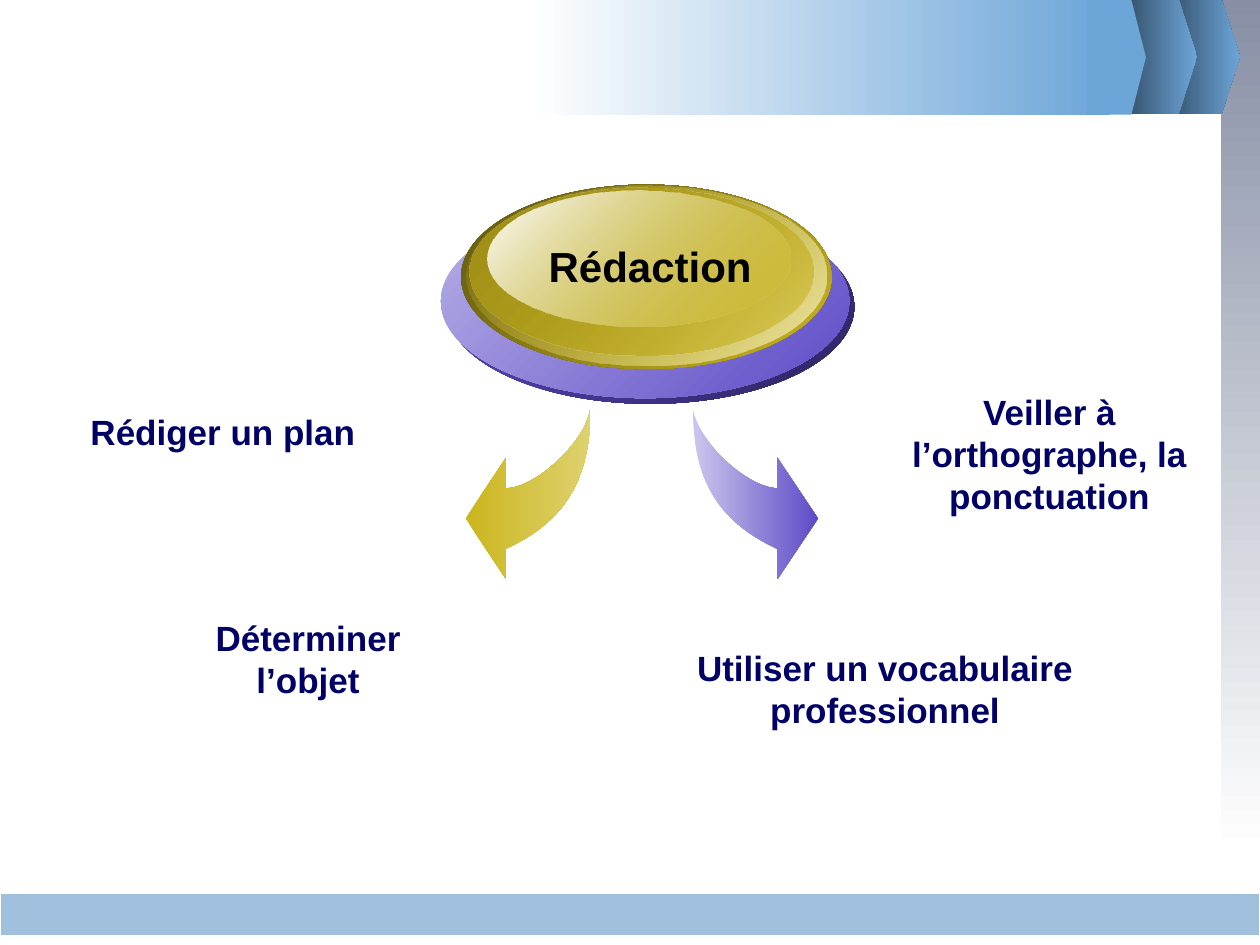
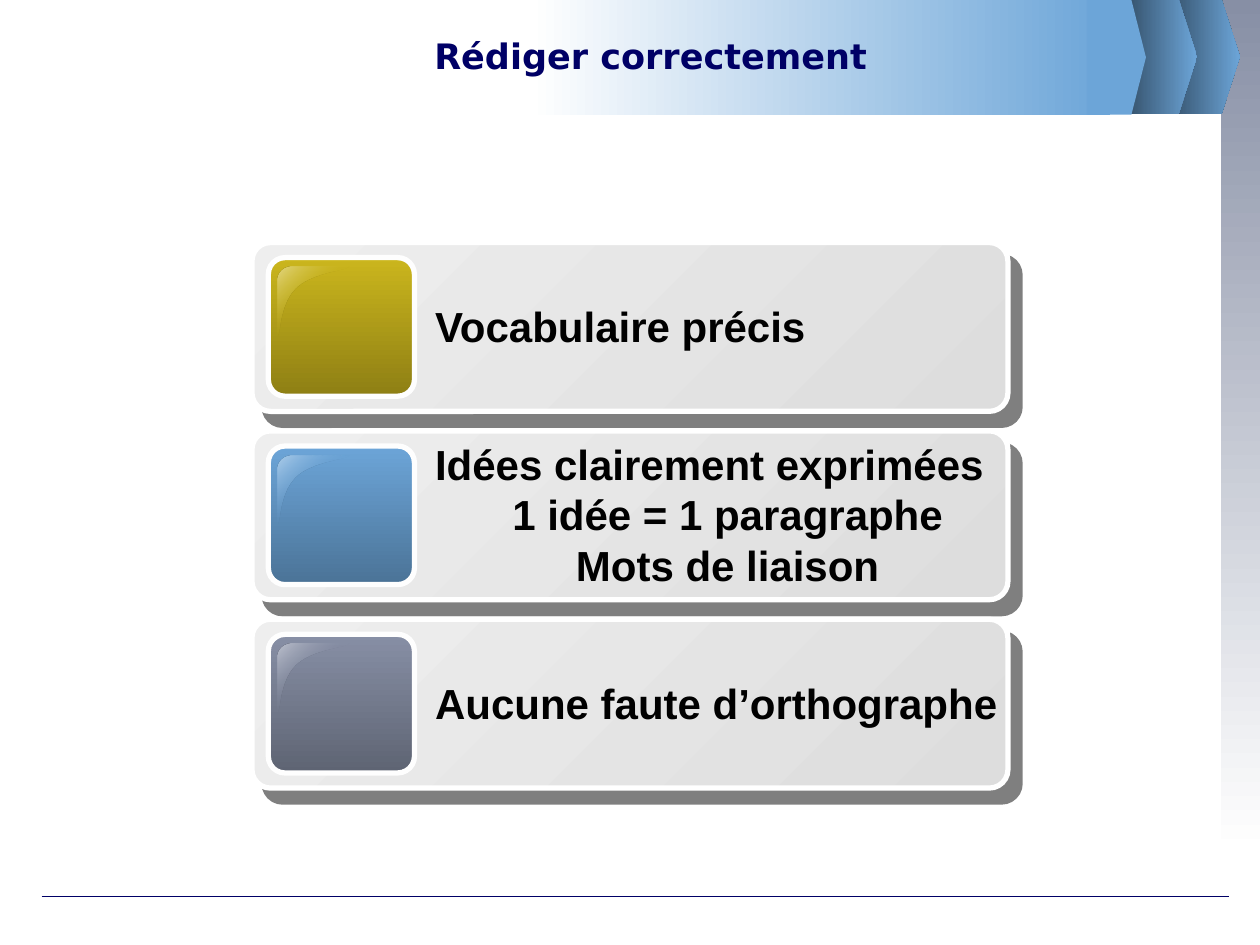
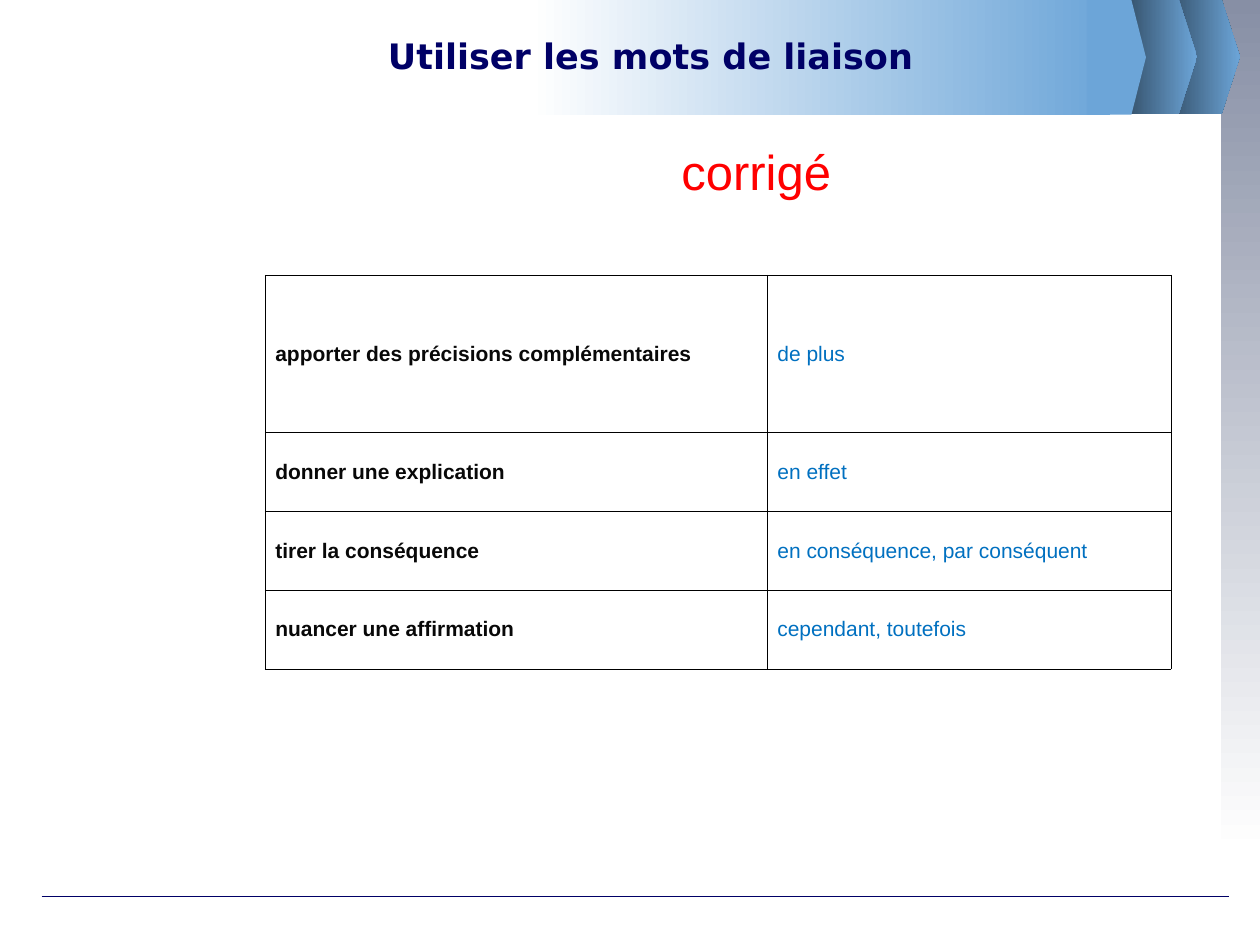
from dataclasses import dataclass

from pptx import Presentation
from pptx.dml.color import RGBColor
from pptx.enum.shapes import MSO_CONNECTOR, MSO_SHAPE
from pptx.enum.text import MSO_ANCHOR, PP_ALIGN
from pptx.oxml import parse_xml
from pptx.oxml.ns import nsdecls, qn
from pptx.util import Inches, Pt

COLUMNS, ROWS = 100, 75
CELL = Inches(0.1)

WHITE = RGBColor(0xFF, 0xFF, 0xFF)
BLACK = RGBColor(0x00, 0x00, 0x00)
NAVY = RGBColor(0x00, 0x00, 0x66)
RED = RGBColor(0xFF, 0x00, 0x00)
INK = RGBColor(0x08, 0x08, 0x08)
ANSWER = RGBColor(0x00, 0x70, 0xC0)
FOOTER = RGBColor(0xA0, 0xBF, 0xDC)
TILE_EDGE = RGBColor(0xFE, 0xFE, 0xFE)
SKY = RGBColor(0x6C, 0xA5, 0xD8)
SKY_DARK = RGBColor(0x4B, 0x73, 0x97)
SKY_LIGHT = RGBColor(0xAF, 0xCE, 0xEA)
STEEL = RGBColor(0x32, 0x4C, 0x64)
SLATE = RGBColor(0x87, 0x8F, 0xA5)
SLATE_DARK = RGBColor(0x5E, 0x64, 0x73)
SLATE_LIGHT = RGBColor(0xBE, 0xC2, 0xCE)
GOLD = RGBColor(0xCB, 0xB6, 0x1D)
GOLD_DEEP = RGBColor(0x5E, 0x54, 0x0D)
GOLD_DARK = RGBColor(0x8E, 0x7F, 0x14)
GOLD_RIM = RGBColor(0xA1, 0x90, 0x17)
GOLD_SOFT = RGBColor(0xDE, 0xD1, 0x6F)
GOLD_LIGHT = RGBColor(0xE3, 0xD7, 0x84)
GOLD_PALE = RGBColor(0xED, 0xE6, 0xB0)
VIOLET = RGBColor(0x5D, 0x4B, 0xC7)
VIOLET_DEEP = RGBColor(0x2D, 0x24, 0x61)
VIOLET_LIGHT = RGBColor(0xB7, 0xAF, 0xE6)
VIOLET_PALE = RGBColor(0xCC, 0xC6, 0xED)
CARD_LIGHT = RGBColor(0xEE, 0xEE, 0xEE)
CARD_DARK = RGBColor(0xDD, 0xDD, 0xDD)

BODY_FONT = "Arial"
TITLE_FONT = "DejaVu Sans"


@dataclass
class Box:
    left: float
    top: float
    width: float
    height: float

    def inner(self, left, top, width, height):
        return Box(self.left + left, self.top + top, width, height)

    def point(self, x, y):
        return round((self.left + x) * CELL), round((self.top + y) * CELL)

    def emu(self):
        return (*self.point(0, 0), round(self.width * CELL), round(self.height * CELL))


PAGE = Box(0, 0, COLUMNS, ROWS)


def gradient(shape, angle, *stops):
    marks = "".join(
        f'<a:gs pos="{position * 1000}"><a:srgbClr val="{color}">'
        f'<a:alpha val="{alpha * 1000}"/></a:srgbClr></a:gs>'
        for position, color, alpha in stops
    )
    shape.fill.background()
    properties = shape._element.spPr
    properties.replace(
        properties.find(qn("a:noFill")),
        parse_xml(
            f'<a:gradFill {nsdecls("a")} rotWithShape="1"><a:gsLst>{marks}</a:gsLst>'
            f'<a:lin ang="{angle * 60000}" scaled="0"/></a:gradFill>'
        ),
    )


def blend(shape, angle, first, last, first_alpha=100, last_alpha=100):
    gradient(shape, angle, (0, first, first_alpha), (100, last, last_alpha))


def outline(shape, color=None, width=0.75):
    shape.shadow.inherit = False
    if color is None:
        shape.line.fill.background()
    else:
        shape.line.color.rgb = color
        shape.line.width = Pt(width)


def add_preset(slide, kind, box, line=None, width=0.75, corner=None):
    shape = slide.shapes.add_shape(kind, *box.emu())
    if corner is not None:
        shape.adjustments[0] = corner
    outline(shape, line, width)
    return shape


def add_outline(slide, box, points, curves=()):
    start, *others = [box.point(x, y) for x, y in points]
    builder = slide.shapes.build_freeform(*start, scale=1.0)
    builder.add_line_segments(others, close=True)
    shape = builder.convert_to_shape()
    outline(shape)
    sides = list(shape._element.iter(qn("a:lnTo")))
    for first in curves:
        bend = parse_xml(f'<a:cubicBezTo {nsdecls("a")}/>')
        sides[first].addprevious(bend)
        for side in sides[first:first + 3]:
            bend.append(side[0])
            side.getparent().remove(side)
    return shape


def write(frame, *lines, size=20, color=NAVY, bold=True, font=BODY_FONT,
          aligns=(PP_ALIGN.CENTER,)):
    frame.word_wrap = True
    for index, line in enumerate(lines):
        paragraph = frame.paragraphs[0] if index == 0 else frame.add_paragraph()
        paragraph.alignment = aligns[min(index, len(aligns) - 1)]
        run = paragraph.add_run()
        run.text = line
        run.font.size = Pt(size)
        run.font.name = font
        run.font.bold = bold
        run.font.color.rgb = color


def add_text(slide, box, *lines, anchor=MSO_ANCHOR.TOP, **style):
    frame = slide.shapes.add_textbox(*box.emu()).text_frame
    frame.vertical_anchor = anchor
    write(frame, *lines, **style)


def draw_header(slide, box):
    sidebar = add_preset(slide, MSO_SHAPE.RECTANGLE, box.inner(96.9, 0, 3.1, 67.7))
    blend(sidebar, 90, SLATE, WHITE)
    for left in (92.5, 89.1):
        chevron = add_outline(slide, box.inner(left, -0.05, 5.9, 9.1),
                              [(0, 0), (4.45, 0), (5.9, 4.55), (4.45, 9.1), (0, 9.1)])
        blend(chevron, 0, STEEL, SKY)
    band = add_preset(slide, MSO_SHAPE.RECTANGLE, box.inner(42.1, 0, 46, 9.1))
    blend(band, 0, WHITE, SKY)
    tip = add_outline(slide, box.inner(86.3, 0, 4.7, 9.1),
                      [(0, 0), (3.5, 0), (4.65, 4.55), (3.5, 9.1), (0, 9.1)])
    tip.fill.solid()
    tip.fill.fore_color.rgb = SKY


def draw_title(slide, box, title):
    rule = slide.shapes.add_connector(MSO_CONNECTOR.STRAIGHT,
                                      *box.point(3.3, 71.15), *box.point(97.5, 71.15))
    rule.line.color.rgb = NAVY
    rule.line.width = Pt(0.75)
    rule._element.spPr.append(parse_xml(f'<a:effectLst {nsdecls("a")}/>'))
    add_text(slide, box.inner(12.5, 1.15, 78.3, 6.5), title,
             font=TITLE_FONT, anchor=MSO_ANCHOR.MIDDLE)


def draw_medallion(slide, box, label):
    rings = [
        ((0.4, 2, 32.4, 15.4), VIOLET, VIOLET_DEEP, 100, 100),
        ((0, 1.55, 32.4, 15.4), VIOLET_LIGHT, VIOLET, 100, 100),
        ((1.6, 0, 29.4, 14.65), GOLD_DEEP, GOLD, 100, 100),
        ((2, 0.1, 28.6, 14.3), GOLD, GOLD_PALE, 0, 100),
        ((2.3, 0.2, 27.25, 13.4), GOLD_RIM, GOLD, 100, 48),
        ((3.7, 0.5, 24, 10.8), WHITE, GOLD, 100, 38),
    ]
    for place, *tones in rings:
        blend(add_preset(slide, MSO_SHAPE.OVAL, box.inner(*place)), 45, *tones)
    add_text(slide, box.inner(4.8, 3.95, 23.6, 5), label, size=24, color=BLACK)


def draw_arrow(slide, box, first, last, mirrored=False):
    points = [
        (9.9, 0), (9.9, 5.5), (8, 8.9), (3.2, 11.1),
        (3.2, 13.5), (0, 8.7), (3.2, 3.9), (3.2, 6.3),
        (5.5, 6.3), (9.5, 2.7), (9.9, 0),
    ]
    if mirrored:
        points = [(box.width - x, y) for x, y in points]
    blend(add_outline(slide, box, points, curves=(0, 7)), 0, first, last)


def draw_overview(slide, box):
    advice = [
        ("Rédiger un plan", (5.5, 32.05, 24.4, 4.4)),
        ("Déterminer l’objet", (12.5, 48.4, 23.9, 7.7)),
        ("Utiliser un vocabulaire professionnel", (53.1, 50.8, 34.3, 7.7)),
        ("Veiller à l’orthographe, la ponctuation", (70.3, 30.5, 26, 11)),
    ]
    draw_arrow(slide, box.inner(36.95, 32.45, 9.9, 13.5), GOLD, GOLD_SOFT)
    draw_arrow(slide, box.inner(55, 32.45, 9.9, 13.5), VIOLET_PALE, VIOLET, mirrored=True)
    draw_medallion(slide, box.inner(35, 14.65, 32.8, 17.4), "Rédaction")
    for label, place in advice:
        add_text(slide, box.inner(*place), label)
    footer = add_preset(slide, MSO_SHAPE.RECTANGLE, box.inner(0, 70.9, COLUMNS, 3.4), line=WHITE)
    footer.fill.solid()
    footer.fill.fore_color.rgb = FOOTER


def draw_card(slide, box, tone, dark, light):
    card = add_preset(slide, MSO_SHAPE.ROUNDED_RECTANGLE, box, WHITE, 3, 0.11)
    blend(card, 45, CARD_LIGHT, CARD_DARK)
    card._element.spPr.find(qn("a:effectLst")).append(parse_xml(
        f'<a:outerShdw {nsdecls("a")} dist="{Pt(10.6)}" dir="{49 * 60000}" algn="ctr" '
        f'rotWithShape="0"><a:srgbClr val="{BLACK}"><a:alpha val="50000"/></a:srgbClr>'
        '</a:outerShdw>'
    ))
    tile = add_preset(slide, MSO_SHAPE.ROUNDED_RECTANGLE, box.inner(1.3, 1.2, 11.6, 11),
                      TILE_EDGE, 3, 0.12)
    blend(tile, 90, tone, dark)
    shine = add_outline(
        slide, box.inner(2.05, 1.95, 5.8, 5.5),
        [(1.2, 0), (0.5, 0), (0, 0.5), (0, 1.1), (0, 5.4),
         (0.3, 5.5), (0.1, 2.9), (1.6, 1.6), (3, 0.4), (5.8, 0.3), (5.7, 0)],
        curves=(0, 4, 7),
    )
    gradient(shine, 45, (0, light, 100), (50, tone, 0), (100, light, 100))


def draw_cards(slide, box, cards, step=14.95):
    places = [box.inner(0, index * step, box.width, 13.4) for index in range(len(cards))]
    for place, (_, *tones) in zip(places, cards):
        draw_card(slide, place, *tones)
    for place, (lines, *_) in zip(places, cards):
        height = 1 + 4 * len(lines)
        add_text(slide, place.inner(13.55, (place.height - height) / 2 - 0.1, 48.4, height),
                 *lines, size=24, color=BLACK, anchor=MSO_ANCHOR.MIDDLE,
                 aligns=(PP_ALIGN.LEFT, PP_ALIGN.CENTER))


def border(cell):
    properties = cell._tc.get_or_add_tcPr()
    for position, side in enumerate(("lnL", "lnR", "lnT", "lnB")):
        properties.insert(position, parse_xml(
            f'<a:{side} {nsdecls("a")} w="{Pt(0.45)}"><a:solidFill>'
            f'<a:srgbClr val="{BLACK}"/></a:solidFill></a:{side}>'
        ))


def draw_table(slide, box, entries, widths, heights):
    table = slide.shapes.add_table(len(entries), len(widths), *box.emu()).table
    table.first_row = table.horz_banding = False
    for column, width in zip(table.columns, widths):
        column.width = round(width * CELL)
    for row, height, entry in zip(table.rows, heights, entries):
        row.height = round(height * CELL)
        for cell, text, color, bold in zip(row.cells, entry, (INK, ANSWER), (True, False)):
            cell.fill.background()
            border(cell)
            cell.vertical_anchor = MSO_ANCHOR.MIDDLE
            cell.margin_left = cell.margin_right = Inches(0.08)
            write(cell.text_frame, text, size=12, color=color, bold=bold,
                  aligns=(PP_ALIGN.LEFT,))


def main():
    deck = Presentation()
    deck.slide_width, deck.slide_height = COLUMNS * CELL, ROWS * CELL
    blank = deck.slide_layouts[6]
    overview, writing, linking = [deck.slides.add_slide(blank) for _ in range(3)]
    for slide in (overview, writing, linking):
        draw_header(slide, PAGE)

    draw_overview(overview, PAGE)

    draw_cards(writing, PAGE.inner(20, 19.25, 60, 43.3), [
        (["Vocabulaire précis"], GOLD, GOLD_DARK, GOLD_LIGHT),
        (["Idées clairement exprimées", "1 idée = 1 paragraphe", "Mots de liaison"],
         SKY, SKY_DARK, SKY_LIGHT),
        (["Aucune faute d’orthographe"], SLATE, SLATE_DARK, SLATE_LIGHT),
    ])
    draw_title(writing, PAGE, "Rédiger correctement")

    draw_title(linking, PAGE, "Utiliser les mots de liaison")
    draw_table(linking, PAGE.inner(21.05, 21.85, 71.9, 31.25), [
        ("apporter des précisions complémentaires", "de plus"),
        ("donner une explication", "en effet"),
        ("tirer la conséquence", "en conséquence, par conséquent"),
        ("nuancer une affirmation", "cependant, toutefois"),
    ], widths=(39.85, 32.05), heights=(12.5, 6.25, 6.25, 6.25))
    add_text(linking, PAGE.inner(53.1, 10.75, 19.7, 5.7), "corrigé", size=28, color=RED,
             bold=False, aligns=(PP_ALIGN.LEFT,))

    deck.save("out.pptx")


if __name__ == "__main__":
    main()
